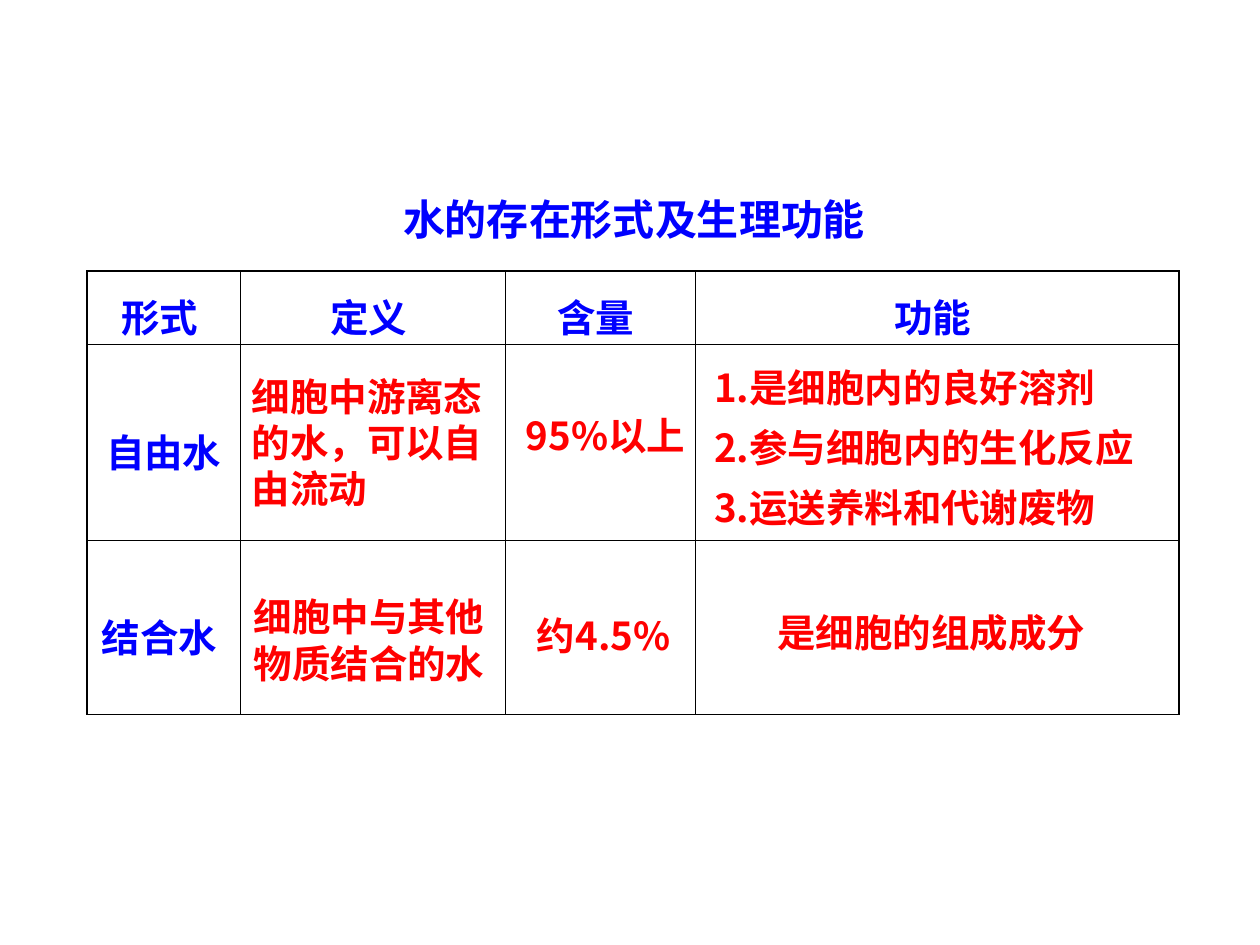
import lxml.etree
import pptx
import pptx.dml.color
import pptx.enum.text
import pptx.oxml.ns
import pptx.util
from dataclasses import dataclass

Inches = pptx.util.Inches
Pt = pptx.util.Pt
Align = pptx.enum.text.PP_ALIGN
Anchor = pptx.enum.text.MSO_ANCHOR


@dataclass(frozen=True)
class Theme:
    font: str = "Noto Sans CJK SC"
    heading: str = "0000FF"
    answer: str = "FF0000"
    border: str = "000000"
    title_size: float = 24
    body_size: float = 22
    line_pitch: float = 1.2
    loose: float = 1.3
    outer_line: float = 1.08
    inner_line: float = 0.45


THEME = Theme()
HEADERS = ["形式 ", "定义 ", "含量 ", "功能 "]
ROW_LABELS = ["自由水", "结合水 "]
COLUMN_WIDTHS = [1.22, 2.1, 1.51, 3.84]
ROW_HEIGHTS = [0.58, 1.56, 1.38]
FUNCTIONS = ["1.是细胞内的良好溶剂", "2.参与细胞内的生化反应", "3.运送养料和代谢废物"]

# Answers lying over the table: box, paragraphs, alignment, line spacing
ANSWERS = [
    ((1.88, 4.63, 2.1, 0.84), ["细胞中与其他物质结合的水"], Align.CENTER, 1),
    ((4.05, 3.19, 1.51, 0.84), ["95%以上"], Align.CENTER, 1),
    ((5.57, 2.7, 4.1, 1.53), FUNCTIONS, Align.LEFT, THEME.loose),
    ((1.9, 2.88, 2.22, 1.2), ["细胞中游离态的水，可以自由流动"], Align.LEFT, 1),
    ((4.1, 4.78, 1.38, 0.47), ["约4.5%"], Align.CENTER, 1),
    ((5.78, 4.75, 3.22, 0.47), ["是细胞的组成成分"], Align.CENTER, 1),
]


def apply_format(target, values):
    for name, value in values.items():
        setattr(target, name, value)


def write_lines(text_frame, lines, size, color, alignment=Align.CENTER, spacing=1):
    for index, line in enumerate(lines):
        paragraph = text_frame.paragraphs[0] if index == 0 else text_frame.add_paragraph()
        pitch = Pt(round(size * THEME.line_pitch * spacing, 1))
        apply_format(paragraph, {"alignment": alignment, "line_spacing": pitch})
        run = paragraph.add_run()
        run.text = line
        apply_format(run.font, {"name": THEME.font, "size": Pt(size), "bold": True})
        run.font.color.rgb = pptx.dml.color.RGBColor.from_string(color)
        east_asian = lxml.etree.SubElement(run.font._element, pptx.oxml.ns.qn("a:ea"))
        east_asian.set("typeface", THEME.font)


def add_text(slide, box, lines, size, color, alignment=Align.CENTER, spacing=1):
    shape = slide.shapes.add_textbox(*map(Inches, box))
    apply_format(shape.text_frame, {
        "word_wrap": True,
        "margin_left": Inches(0.1), "margin_right": Inches(0.1),
        "margin_top": Inches(0.08), "margin_bottom": Inches(0.02),
    })
    write_lines(shape.text_frame, lines, size, color, alignment, spacing)


def set_borders(cell, widths):
    properties = cell._tc.get_or_add_tcPr()
    for index, (side, width) in enumerate(widths.items()):
        line = lxml.etree.Element(pptx.oxml.ns.qn(f"a:ln{side}"), w=str(int(Pt(width))))
        fill = lxml.etree.SubElement(line, pptx.oxml.ns.qn("a:solidFill"))
        lxml.etree.SubElement(fill, pptx.oxml.ns.qn("a:srgbClr"), val=THEME.border)
        properties.insert(index, line)


def add_water_table(slide, box):
    row_count, column_count = len(ROW_HEIGHTS), len(COLUMN_WIDTHS)
    table = slide.shapes.add_table(row_count, column_count, *map(Inches, box)).table
    apply_format(table, {"first_row": False, "horz_banding": False})
    for column, width in zip(table.columns, COLUMN_WIDTHS):
        column.width = Inches(width)
    for row, height in zip(table.rows, ROW_HEIGHTS):
        row.height = Inches(height)

    labels = {(0, column): text for column, text in enumerate(HEADERS)}
    labels.update({(row, 0): text for row, text in enumerate(ROW_LABELS, 1)})
    for row in range(row_count):
        for column in range(column_count):
            cell = table.cell(row, column)
            cell.fill.background()
            apply_format(cell, {
                "vertical_anchor": Anchor.MIDDLE,
                "margin_left": Inches(0.1), "margin_right": Inches(0.1),
                "margin_top": Inches(0.1), "margin_bottom": Inches(0),
            })
            on_edge = {"L": column == 0, "R": column == column_count - 1,
                       "T": row == 0, "B": row == row_count - 1}
            set_borders(cell, {side: THEME.outer_line if outer else THEME.inner_line
                               for side, outer in on_edge.items()})
            if (row, column) in labels:
                write_lines(cell.text_frame, [labels[row, column]], THEME.body_size,
                            THEME.heading, spacing=THEME.loose)


def add_answers(slide):
    for box, lines, alignment, spacing in ANSWERS:
        add_text(slide, box, lines, THEME.body_size, THEME.answer, alignment, spacing)


def main():
    presentation = pptx.Presentation()
    apply_format(presentation, {"slide_width": Inches(10), "slide_height": Inches(7.5)})
    slide = presentation.slides.add_slide(presentation.slide_layouts[6])
    # Title
    add_text(slide, (0.25, 1.46, 9.64, 0.5), ["水的存在形式及生理功能 "],
             THEME.title_size, THEME.heading)
    # Table grid with headings, then the answers over it
    add_water_table(slide, (0.69, 2.15, sum(COLUMN_WIDTHS), sum(ROW_HEIGHTS)))
    add_answers(slide)
    presentation.save("out.pptx")


if __name__ == "__main__":
    main()
